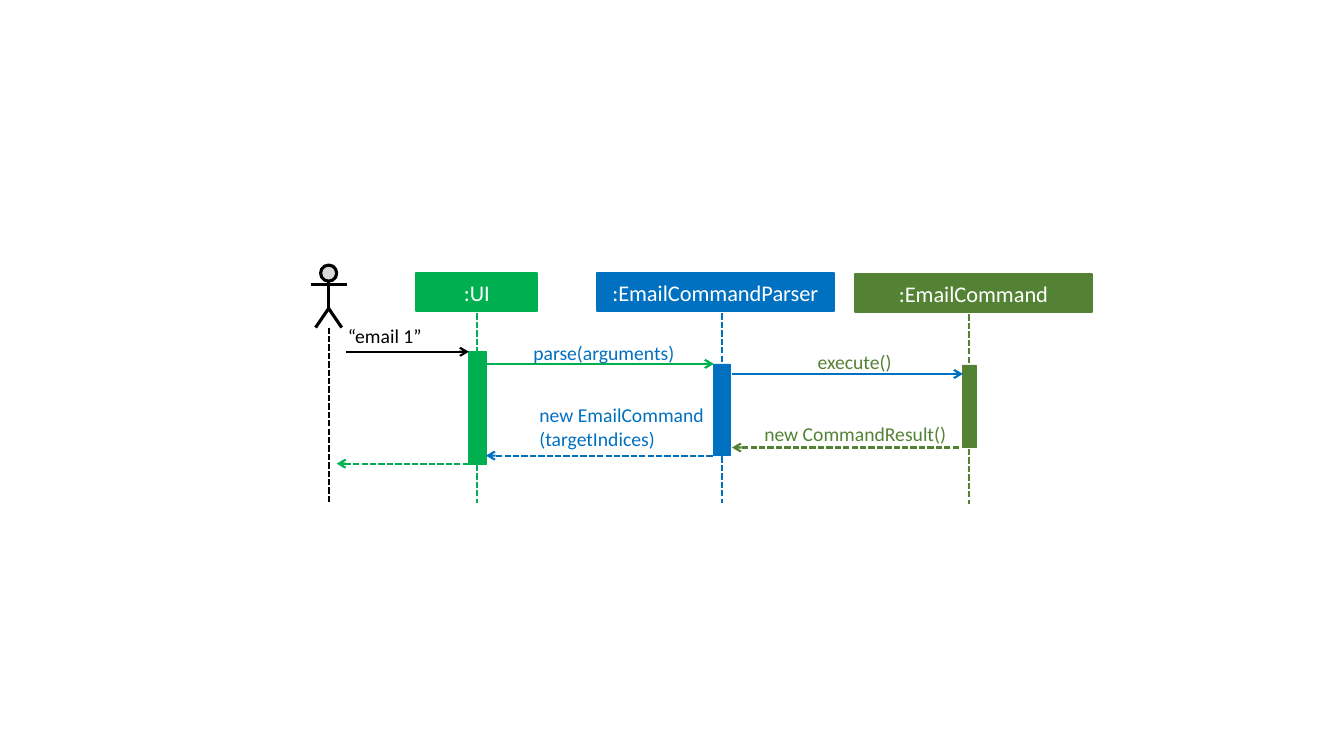
from lxml.etree import SubElement
from pptx import Presentation
from pptx.dml.color import RGBColor
from pptx.enum.dml import MSO_LINE
from pptx.enum.shapes import MSO_CONNECTOR, MSO_SHAPE
from pptx.enum.text import MSO_ANCHOR, PP_ALIGN
from pptx.oxml.ns import qn
from pptx.util import Inches, Pt

BLACK, WHITE, GREY = "000000", "FFFFFF", "D9D9D9"
GREEN, BLUE, OLIVE = "00B050", "0070C0", "548235"

# name, colour, header (left, top, width), lifeline x, activation bar (left, top, width, height)
PARTICIPANTS = [
    (":UI", GREEN, (4.13, 2.71, 1.2), 4.73, (4.65, 3.49, 0.17, 1.12)),
    (":EmailCommandParser", BLUE, (5.92, 2.71, 2.35), 7.16, (7.08, 3.61, 0.16, 0.91)),
    (":EmailCommand", OLIVE, (8.48, 2.72, 2.35), 9.61, (9.55, 3.62, 0.13, 0.82)),
]
HEADER_HEIGHT, LIFELINE_GAP, LIFELINE_LENGTH = 0.38, 0.4, 1.88

# start x, end x, y, colour, is a reply
MESSAGES = [
    (3.43, 4.65, 3.49, BLACK, False),
    (4.82, 7.08, 3.61, GREEN, False),
    (7.26, 9.55, 3.71, BLUE, False),
    (9.51, 7.26, 4.44, OLIVE, True),
    (7.07, 4.82, 4.52, BLUE, True),
    (4.65, 3.34, 4.6, GREEN, True),
]

# lines of text, left, top, width, colour
LABELS = [
    (["“email 1”"], 3.45, 3.21, 1.14, BLACK),
    (["parse(arguments)"], 5.29, 3.38, 1.56, BLUE),
    (["execute()"], 8.11, 3.47, 1.56, OLIVE),
    (["new EmailCommand", "(targetIndices)"], 5.35, 4, 1.7, BLUE),
    (["new CommandResult()"], 7.58, 4.19, 2.25, OLIVE),
]
LABEL_LINE = 0.235

ACTOR_X, ACTOR_LINE = 3.26, 2.25
HEAD_TOP, HEAD_SIZE, ARMS_Y, HIP_Y, FEET_Y = 2.63, 0.16, 2.82, 3.06, 3.25
ARM_REACH, FOOT_REACH = 0.18, 0.13
ACTOR_LIFELINE_END = 4.99


def rgb(color):
    return RGBColor.from_string(color)


def set_line(line, color, width):
    line.color.rgb = rgb(color)
    line.width = Pt(width)


def write(tf, lines, color, size, align=PP_ALIGN.LEFT):
    for i, text in enumerate(lines):
        p = tf.paragraphs[0] if i == 0 else tf.add_paragraph()
        p.alignment = align
        r = p.add_run()
        r.text = text
        r.font.name = "Calibri"
        r.font.size = Pt(size)
        r.font.color.rgb = rgb(color)


def add_box(shapes, kind, box, fill, line, width):
    sp = shapes.add_shape(kind, *map(Inches, box))
    sp.shadow.inherit = False
    sp.fill.solid()
    sp.fill.fore_color.rgb = rgb(fill)
    set_line(sp.line, line, width)
    return sp


def add_line(shapes, x1, y1, x2, y2, color, width=1.5, dashed=False, arrow=False):
    cxn = shapes.add_connector(MSO_CONNECTOR.STRAIGHT, *map(Inches, (x1, y1, x2, y2)))
    set_line(cxn.line, color, width)
    if dashed:
        cxn.line.dash_style = MSO_LINE.SQUARE_DOT
    if arrow:
        SubElement(cxn.line._get_or_add_ln(), qn("a:tailEnd"), type="arrow")
    SubElement(cxn._element.spPr, qn("a:effectLst"))


def add_participant(shapes, name, color, header, lifeline_x, bar):
    left, top, width = header
    sp = add_box(shapes, MSO_SHAPE.RECTANGLE, (left, top, width, HEADER_HEIGHT), color, color, 1.5)
    sp.text_frame.vertical_anchor = MSO_ANCHOR.MIDDLE
    write(sp.text_frame, [name], WHITE, 16, PP_ALIGN.CENTER)
    y = top + LIFELINE_GAP
    add_line(shapes, lifeline_x, y, lifeline_x, y + LIFELINE_LENGTH, color, dashed=True)
    add_box(shapes, MSO_SHAPE.RECTANGLE, bar, color, color, 0.5)


def add_actor(shapes):
    group = shapes.add_group_shape().shapes
    head = (ACTOR_X - HEAD_SIZE / 2, HEAD_TOP, HEAD_SIZE, HEAD_SIZE)
    add_box(group, MSO_SHAPE.FLOWCHART_CONNECTOR, head, GREY, BLACK, ACTOR_LINE)
    add_line(group, ACTOR_X, HEAD_TOP + HEAD_SIZE, ACTOR_X, HIP_Y, BLACK, ACTOR_LINE)
    feet = [(Inches(ACTOR_X + dx), Inches(FEET_Y)) for dx in (-FOOT_REACH, FOOT_REACH)]
    builder = group.build_freeform(*feet[0])
    builder.add_line_segments([(Inches(ACTOR_X), Inches(HIP_Y)), feet[1]], close=False)
    legs = builder.convert_to_shape()
    legs.shadow.inherit = False
    legs.fill.background()
    set_line(legs.line, BLACK, ACTOR_LINE)
    add_line(group, ACTOR_X - ARM_REACH, ARMS_Y, ACTOR_X + ARM_REACH, ARMS_Y, BLACK, ACTOR_LINE)
    add_line(shapes, ACTOR_X, FEET_Y, ACTOR_X, ACTOR_LIFELINE_END, BLACK, dashed=True)


def add_label(shapes, lines, left, top, width, color):
    box = (left, top, width, LABEL_LINE * len(lines))
    tf = shapes.add_textbox(*map(Inches, box)).text_frame
    tf.word_wrap = True
    tf.margin_left = tf.margin_right = tf.margin_top = tf.margin_bottom = 0
    write(tf, lines, color, 14)


def main():
    prs = Presentation()
    prs.slide_width, prs.slide_height = Inches(13.33), Inches(7.5)
    shapes = prs.slides.add_slide(prs.slide_layouts[6]).shapes
    add_actor(shapes)
    for participant in PARTICIPANTS:
        add_participant(shapes, *participant)
    for x1, x2, y, color, reply in MESSAGES:
        add_line(shapes, x1, y, x2, y, color, dashed=reply, arrow=True)
    for label in LABELS:
        add_label(shapes, *label)
    prs.save("out.pptx")


if __name__ == "__main__":
    main()
